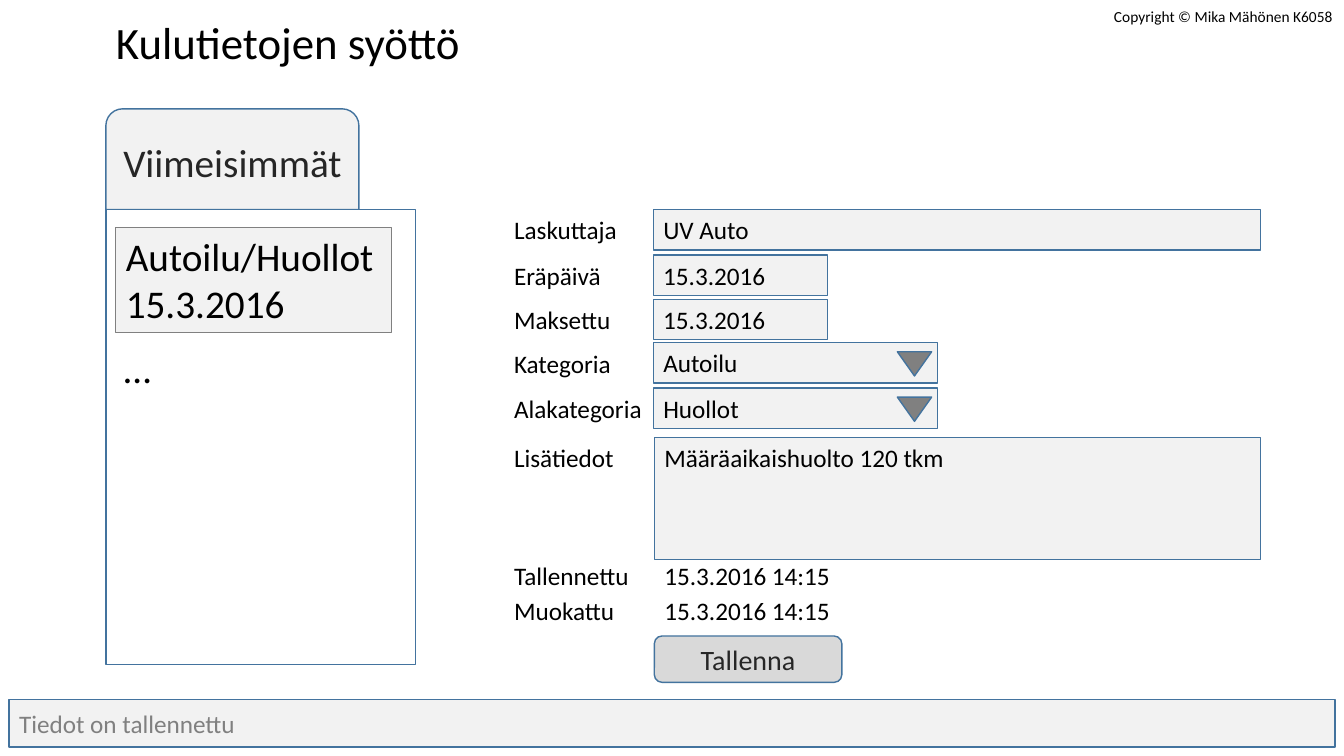
from pptx import Presentation
from pptx.dml.color import RGBColor
from pptx.enum.shapes import MSO_SHAPE as Shape
from pptx.enum.text import MSO_ANCHOR as Anchor, MSO_AUTO_SIZE as Fit, PP_ALIGN as Align
from pptx.util import Emu, Pt

PX = 9144
FONT = "Calibri"
COLORS = {
    "ink": "000000", "dark": "262626", "gray": "808080", "white": "FFFFFF",
    "field": "F2F2F2", "button": "D9D9D9", "edge": "43739E",
}


def color(name):
    return RGBColor.from_string(COLORS[name])


class FormPage:
    def __init__(self, deck):
        self.page = deck.slides.add_slide(deck.slide_layouts[5])

    def set_text(self, box, text, size, ink="ink", align=Align.LEFT, anchor=Anchor.TOP, wrap=True):
        frame = box.text_frame
        frame.word_wrap = wrap
        frame.auto_size = Fit.NONE if wrap else Fit.SHAPE_TO_FIT_TEXT
        frame.vertical_anchor = anchor
        frame.margin_left = frame.margin_right = 10 * PX
        frame.margin_top = frame.margin_bottom = 5 * PX
        para = frame.paragraphs[0]
        para.alignment = align
        span = para.add_run()
        span.text = text
        span.font.name = FONT
        span.font.size = Pt(size)
        span.font.color.rgb = color(ink)

    def title(self, place, text, size):
        box = self.page.shapes.title
        box.left, box.top, box.width, box.height = (Emu(v * PX) for v in place)
        self.set_text(box, text, size, wrap=False)

    def label(self, place, text, size=18):
        box = self.page.shapes.add_textbox(*(v * PX for v in place))
        self.set_text(box, text, size, wrap=False)

    def shape(self, kind, place, fill="field", edge="edge", weight=1):
        box = self.page.shapes.add_shape(kind, *(v * PX for v in place))
        box.shadow.inherit = False
        box.fill.solid()
        box.fill.fore_color.rgb = color(fill)
        box.line.color.rgb = color(edge)
        box.line.width = Pt(weight)
        return box

    def field(self, place, text, ink="ink", anchor=Anchor.MIDDLE):
        self.set_text(self.shape(Shape.RECTANGLE, place), text, 18, ink, anchor=anchor)

    def button(self, kind, place, text, size, fill):
        box = self.shape(kind, place, fill)
        self.set_text(box, text, size, "dark", Align.CENTER, Anchor.MIDDLE)

    def dropdown(self, place, text):
        left, top, width, height = place
        self.field(place, text)
        arrow = self.shape(Shape.ISOSCELES_TRIANGLE, (left + width - 40, top + 9, 34, 24), "gray")
        arrow.rotation = 180


def main():
    deck = Presentation()
    deck.slide_width, deck.slide_height = Emu(1333 * PX), Emu(750 * PX)
    form = FormPage(deck)

    form.title((105, 10, 366, 64), "Kulutietojen syöttö", 32)
    form.label((1095, 2, 239, 29), "Copyright © Mika Mähönen K6058", 11)

    form.button(Shape.ROUND_2_SAME_RECTANGLE, (105, 108, 251, 100), "Viimeisimmät", 28, "field")
    form.shape(Shape.RECTANGLE, (105, 208, 307, 451), "white")
    recent = form.shape(Shape.RECTANGLE, (115, 226, 273, 104), edge="gray", weight=0.75)
    form.set_text(recent, "Autoilu/Huollot 15.3.2016", 28)
    form.label((113, 337, 47, 57), "…", 28)

    labels = [
        ("Laskuttaja", 208, 124), ("Eräpäivä", 253, 107), ("Maksettu", 297, 117),
        ("Kategoria", 341, 117), ("Alakategoria", 385, 148), ("Lisätiedot", 434, 120),
        ("Tallennettu", 551, 136), ("Muokattu", 586, 121),
    ]
    for text, top, width in labels:
        form.label((500, top, width, 40), text)

    fields = [("UV Auto", 208, 602), ("15.3.2016", 253, 173), ("15.3.2016", 297, 173)]
    for text, top, width in fields:
        form.field((648, top, width, 40), text)
    for text, top in [("Autoilu", 340), ("Huollot", 385)]:
        form.dropdown((648, top, 282, 40), text)

    form.field((649, 434, 601, 121), "Määräaikaishuolto 120 tkm", anchor=Anchor.TOP)
    for top in (551, 586):
        form.label((649, top, 186, 40), "15.3.2016 14:15")
    form.button(Shape.ROUNDED_RECTANGLE, (649, 631, 186, 46), "Tallenna", 20, "button")
    form.field((9, 694, 1315, 47), "Tiedot on tallennettu", "gray")

    deck.save("out.pptx")


if __name__ == "__main__":
    main()
